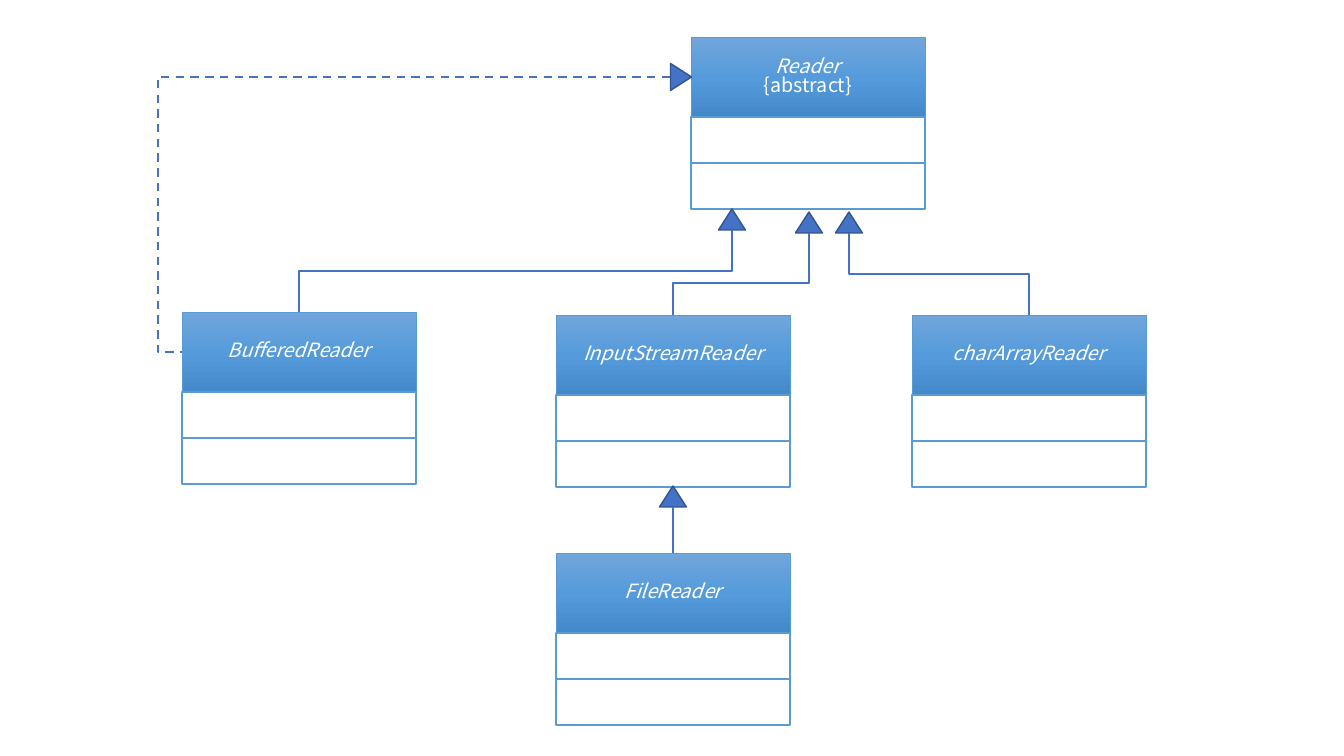
import copy
import dataclasses

import lxml.etree
import pptx
import pptx.dml.color
import pptx.enum.dml
import pptx.enum.shapes
import pptx.enum.text
import pptx.oxml.ns
import pptx.util

SHAPE = pptx.enum.shapes.MSO_SHAPE
qn = pptx.oxml.ns.qn
rgb = pptx.dml.color.RGBColor.from_string


@dataclasses.dataclass(frozen=True)
class Theme:
    font: str = "Noto Sans CJK SC"
    size: int = 14
    text: str = "FFFFFF"
    paper: str = "FFFFFF"
    border: str = "5B9BD5"
    link: str = "4472C4"
    edge: str = "325491"
    fade: tuple = ("71A6DB", "559BDB", "448ACA")


THEME = Theme()
WIDE, HIGH = 234, 80    # class header
ROW = 46                # empty class section
BASE, RISE = 27, 21     # arrow triangle


def px(count):
    """Turn pixels (100.8 to the inch) into EMU."""
    return pptx.util.Emu(round(count * 914400 / 100.8))


def apply(item, values):
    for name, value in values.items():
        setattr(item, name, value)


def stroke(line, color, width):
    line.color.rgb = rgb(color)
    line.width = pptx.util.Pt(width)


def block(slide, kind, box, color, width, fill=None):
    shape = slide.shapes.add_shape(kind, *map(px, box))
    shape.shadow.inherit = False
    stroke(shape.line, color, width)
    if fill:
        shape.fill.solid()
        shape.fill.fore_color.rgb = rgb(fill)
    return shape


def shade(fill, colors):
    """Fill from top to bottom with three evenly spaced colours."""
    fill.gradient()
    fill.gradient_angle = 270
    first = fill.gradient_stops[0]._gs
    first.addnext(copy.deepcopy(first))
    for index, (stop, color) in enumerate(zip(fill.gradient_stops, colors)):
        stop.position = index / 2
        stop.color.rgb = rgb(color)


def label(shape, lines):
    """Write centred lines, the first one in italics."""
    frame = shape.text_frame
    apply(frame, {"word_wrap": True,
                  "vertical_anchor": pptx.enum.text.MSO_ANCHOR.MIDDLE})
    for index, text in enumerate(lines):
        para = frame.add_paragraph() if index else frame.paragraphs[0]
        apply(para, {"alignment": pptx.enum.text.PP_ALIGN.CENTER,
                     "line_spacing": 0.8})
        run = para.add_run()
        run.text = text
        apply(run.font, {"name": THEME.font,
                         "size": pptx.util.Pt(THEME.size),
                         "italic": index == 0})
        run.font.color.rgb = rgb(THEME.text)


def draw_class(slide, left, top, *lines):
    """Draw a header with two empty sections under it."""
    head = block(slide, SHAPE.RECTANGLE, (left, top, WIDE, HIGH),
                 THEME.border, 0.5)
    shade(head.fill, THEME.fade)
    label(head, lines)
    for index in range(2):
        block(slide, SHAPE.RECTANGLE,
              (left, top + HIGH + index * ROW, WIDE, ROW),
              THEME.border, 1, THEME.paper)


def arrow(slide, x, y, turn=0):
    """Draw a triangle centred at x, y."""
    shape = block(slide, SHAPE.ISOSCELES_TRIANGLE,
                  (x - BASE / 2, y - RISE / 2, BASE, RISE),
                  THEME.edge, 1, THEME.link)
    shape.rotation = turn


def elbow(slide, start, end, bend):
    """Join two points, leaving sideways; bend is a share of the width."""
    link = slide.shapes.add_connector(
        pptx.enum.shapes.MSO_CONNECTOR.ELBOW, *map(px, start + end))
    stroke(link.line, THEME.link, 1.5)
    props = link._element.spPr
    lxml.etree.SubElement(props, qn("a:effectLst"))
    guide = lxml.etree.SubElement(props.find(".//" + qn("a:avLst")),
                                  qn("a:gd"))
    guide.set("name", "adj1")
    guide.set("fmla", f"val {round(bend * 100000)}")
    return link


def extend(slide, tip, child, bend=0.5):
    """Point from the top centre of a child class up to a tip."""
    x, y = tip
    arrow(slide, x, y + RISE / 2)
    start = y + RISE
    drop, shift = child[1] - start, child[0] - x
    mid = (x + shift / 2, start + drop / 2)
    half = (drop / 2, abs(shift) / 2)
    link = elbow(slide, (mid[0] - half[0], mid[1] - half[1]),
                 (mid[0] + half[0], mid[1] + half[1]), bend)
    frame = link._element.spPr.find(qn("a:xfrm"))
    frame.set("rot", str((270 if shift > 0 else 90) * 60000))
    if shift > 0:
        frame.set("flipH", "1")


def main():
    deck = pptx.Presentation()
    apply(deck, {"slide_width": px(1344), "slide_height": px(756)})
    slide = deck.slides.add_slide(deck.slide_layouts[6])

    draw_class(slide, 691, 37, "Reader", "{abstract}")
    for left, top, name in ((182, 312, "BufferedReader"),
                            (556, 315, "InputStreamReader"),
                            (912, 315, "charArrayReader"),
                            (556, 553, "FileReader")):
        draw_class(slide, left, top, name)

    extend(slide, (732, 209), (299, 312))
    extend(slide, (809, 212), (673, 315), 0.61)
    extend(slide, (849, 212), (1029, 315))
    extend(slide, (673, 486), (673, 553))

    arrow(slide, 681, 77, 90)
    wrap = elbow(slide, (670, 77), (182, 352), 1.05)
    wrap.line.dash_style = pptx.enum.dml.MSO_LINE.DASH

    deck.save("out.pptx")


if __name__ == "__main__":
    main()
